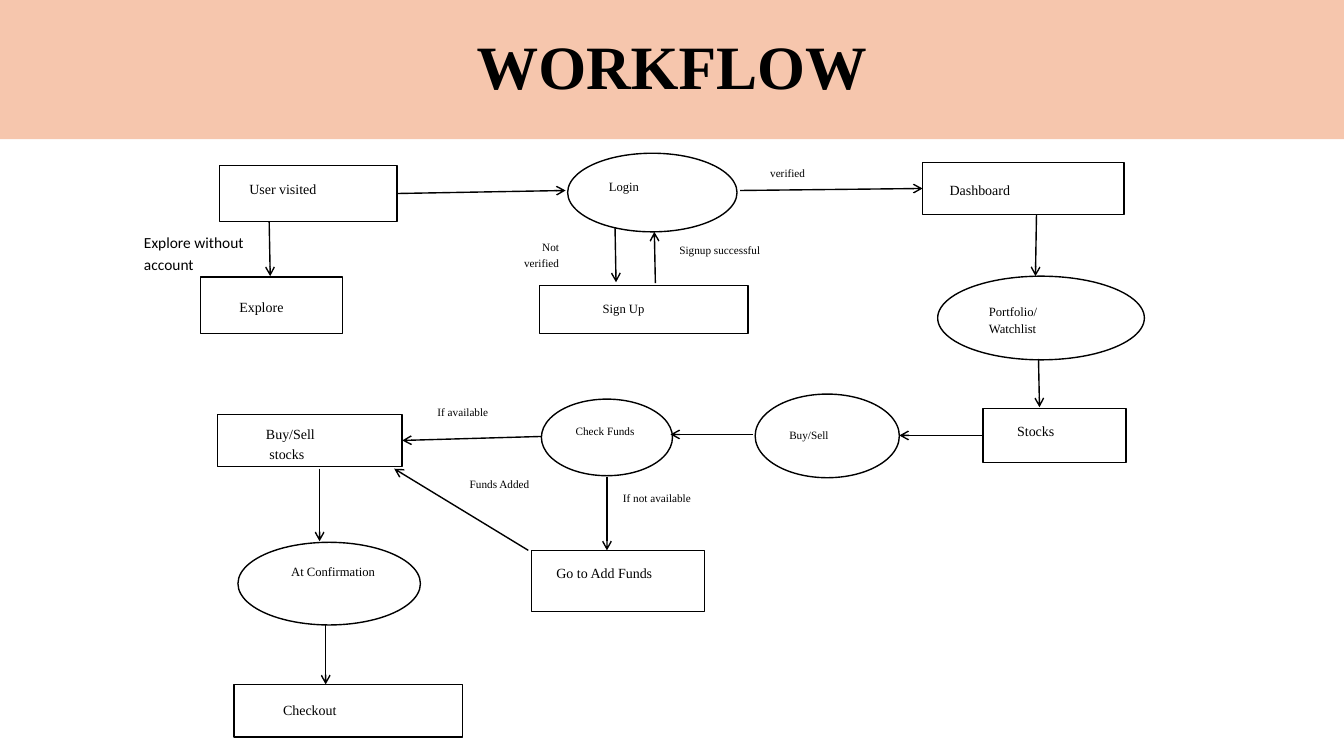
"""Build the WORKFLOW slide: a flow chart of nodes, labels and arrows on a 0.1 inch grid."""
from lxml import etree
from pptx import Presentation
from pptx.dml.color import RGBColor
from pptx.enum.shapes import MSO_CONNECTOR, MSO_SHAPE
from pptx.enum.text import MSO_ANCHOR, PP_ALIGN
from pptx.oxml.ns import qn
from pptx.util import Inches, Pt

RECTANGLE, ELLIPSE = MSO_SHAPE.RECTANGLE, MSO_SHAPE.OVAL
STRAIGHT = MSO_CONNECTOR.STRAIGHT
MIDDLE, TOP = MSO_ANCHOR.MIDDLE, MSO_ANCHOR.TOP
CENTER, LEFT = PP_ALIGN.CENTER, PP_ALIGN.LEFT
SIDE_LEFT, SIDE_RIGHT = 1, 3

BLACK = RGBColor(0x00, 0x00, 0x00)
WHITE = RGBColor(0xFF, 0xFF, 0xFF)
PEACH = RGBColor(0xF6, 0xC6, 0xAD)
SERIF, SANS = "Times New Roman", "Calibri"
CELL = Inches(0.1)

deck = Presentation()
deck.slide_width, deck.slide_height = Inches(13.33), Inches(7.5)
page = deck.slides.add_slide(deck.slide_layouts[6])


def add_box(kind, place, fill=None):
    """Add a flat shape at (column, row, columns, rows): filled, or outlined in black."""
    box = page.shapes.add_shape(kind, *[round(cells * CELL) for cells in place])
    box.shadow.inherit = False
    if fill is None:
        box.fill.background()
        box.line.color.rgb = BLACK
        box.line.width = Pt(1)
    else:
        box.fill.solid()
        box.fill.fore_color.rgb = fill
        box.line.fill.background()
    return box


def write(box, text, size, font, anchor, align, spacing):
    """Write one black paragraph into the box and return it."""
    frame = box.text_frame
    frame.word_wrap = True
    frame.vertical_anchor = anchor
    para = frame.paragraphs[0]
    para.text = text
    para.alignment = align
    para.line_spacing = spacing
    for span in para.runs:
        span.font.size = Pt(size)
        span.font.name = font
        span.font.color.rgb = BLACK
    return para


banner = add_box(RECTANGLE, (0, 0, 133.3, 13.8), PEACH)
title = write(banner, "WORKFLOW", 44, SERIF, MIDDLE, CENTER, 0.9)
title.runs[0].font.bold = True

labels = [
    (" User visited", 10, SERIF, (23.4, 17.2, 14.3, 3.5)),
    ("Explore without account", 11, SANS, (13.3, 22.4, 12.4, 4.3)),
    (" Explore", 10, SERIF, (22.4, 28.9, 9.9, 3.5)),
    (" Login", 9, SERIF, (59.1, 17, 10.6, 3.9)),
    ("verified", 8, SERIF, (75.4, 15.8, 10.5, 2.6)),
    ("Not verified", 8, SERIF, (51, 23.2, 9, 4)),
    ("Signup successful", 8, SERIF, (66.4, 23.5, 10.7, 4)),
    ("Sign Up", 9, SERIF, (58.8, 29.1, 12.4, 2.9)),
    ("Dashboard", 10, SERIF, (93.2, 17.3, 16.2, 2.8)),
    ("Portfolio/\vWatchlist", 9, SERIF, (97.1, 29.4, 12.9, 4)),
    ("Stocks", 10, SERIF, (99.9, 41.2, 9.6, 3.9)),
    ("Buy/Sell", 8, SERIF, (77.3, 41.8, 9.4, 2.7)),
    ("Check Funds", 8, SERIF, (56.1, 41.4, 9.1, 3.9)),
    ("If available", 8, SERIF, (42.4, 39.5, 9.8, 3.5)),
    ("If not available", 8, SERIF, (60.8, 48.1, 9.6, 4.2)),
    ("Go to Add Funds", 10, SERIF, (54.2, 55.3, 14.5, 4.4)),
    ("Funds Added", 8, SERIF, (45.6, 46.7, 8.1, 3.6)),
    ("Buy/Sell\v stocks", 10, SERIF, (25.4, 41.5, 11.3, 4.5)),
    ("At Confirmation", 9, SERIF, (25.4, 55.2, 14, 4)),
    ("Checkout", 10, SERIF, (27.1, 68.9, 12.4, 2.6)),
]
first_line_indents = {"Not verified": 1.8, "At Confirmation": 2.5}
for text, size, font, place in labels:
    para = write(add_box(RECTANGLE, place, WHITE), text, size, font, TOP, LEFT, 1.15)
    para.space_after = Pt(10)
    if text in first_line_indents:
        properties = para._p.get_or_add_pPr()
        properties.set("marL", "0")
        properties.set("indent", str(round(first_line_indents[text] * CELL)))

nodes = {
    "user visited": (RECTANGLE, (21.8, 16.4, 17.6, 5.6)),
    "explore": (RECTANGLE, (19.9, 27.5, 14.1, 5.6)),
    "login": (ELLIPSE, (56.3, 15.2, 16.8, 7.8)),
    "sign up": (RECTANGLE, (53.5, 28.3, 20.7, 4.8)),
    "dashboard": (RECTANGLE, (91.5, 16.1, 20, 5.2)),
    "portfolio": (ELLIPSE, (93, 27.4, 20.5, 8.3)),
    "stocks": (RECTANGLE, (97.5, 40.5, 14.2, 5.4)),
    "buy or sell": (ELLIPSE, (74.9, 39.1, 14.3, 8.3)),
    "check funds": (ELLIPSE, (53.7, 39.6, 13, 7.6)),
    "add funds": (RECTANGLE, (52.7, 54.6, 17.2, 6.1)),
    "buy or sell stocks": (RECTANGLE, (21.6, 41.1, 18.3, 5.2)),
    "confirmation": (ELLIPSE, (23.6, 53.8, 18.1, 8.2)),
    "checkout": (RECTANGLE, (23.2, 67.9, 22.7, 5.2)),
}
boxes = {name: add_box(kind, place) for name, (kind, place) in nodes.items()}

arrows = [
    ((39.5, 18.9), (56.1, 18.9), "user visited", None),
    ((26.7, 22), (26.8, 27.4), None, None),
    ((73.4, 18.9), (91.1, 18.9), None, "dashboard"),
    ((61, 22.6), (61.1, 28), None, None),
    ((65, 28.1), (64.9, 23), None, None),
    ((102.8, 21.3), (102.7, 27.4), None, None),
    ((103, 35.6), (103.1, 40.4), None, None),
    ((97.4, 43.2), (89.2, 43.2), "stocks", None),
    ((74.7, 43.1), (66.5, 43.1), None, None),
    ((53.7, 43.3), (39.6, 43.4), None, "buy or sell stocks"),
    ((60.2, 47.3), (60.2, 54.6), None, None),
    ((52.4, 54.6), (39.1, 46.5), None, None),
    ((31.7, 46.5), (31.7, 53.7), None, None),
    ((32.3, 61.9), (32.3, 67.9), None, None),
]
start_sides = {"user visited": SIDE_RIGHT, "stocks": SIDE_LEFT}
end_sides = {"dashboard": SIDE_LEFT, "buy or sell stocks": SIDE_RIGHT}
for start, end, source, target in arrows:
    arrow = page.shapes.add_connector(STRAIGHT, *[round(cells * CELL) for cells in start + end])
    if source:
        arrow.begin_connect(boxes[source], start_sides[source])
    if target:
        arrow.end_connect(boxes[target], end_sides[target])
    arrow.line.color.rgb = BLACK
    arrow.line.width = Pt(1)
    etree.SubElement(arrow.line._get_or_add_ln(), qn("a:tailEnd"), type="arrow")
    etree.SubElement(arrow._element.spPr, qn("a:effectLst"))

deck.save("out.pptx")
